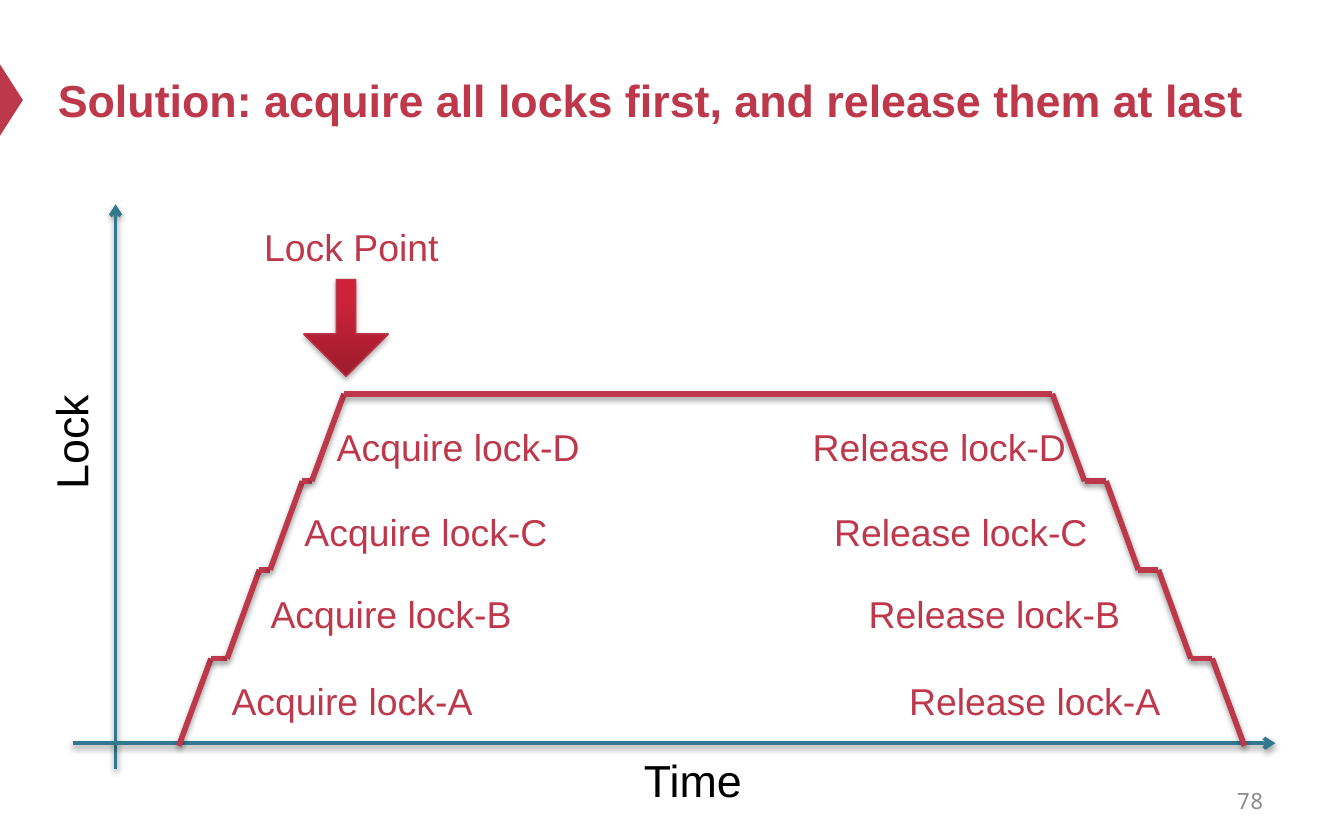
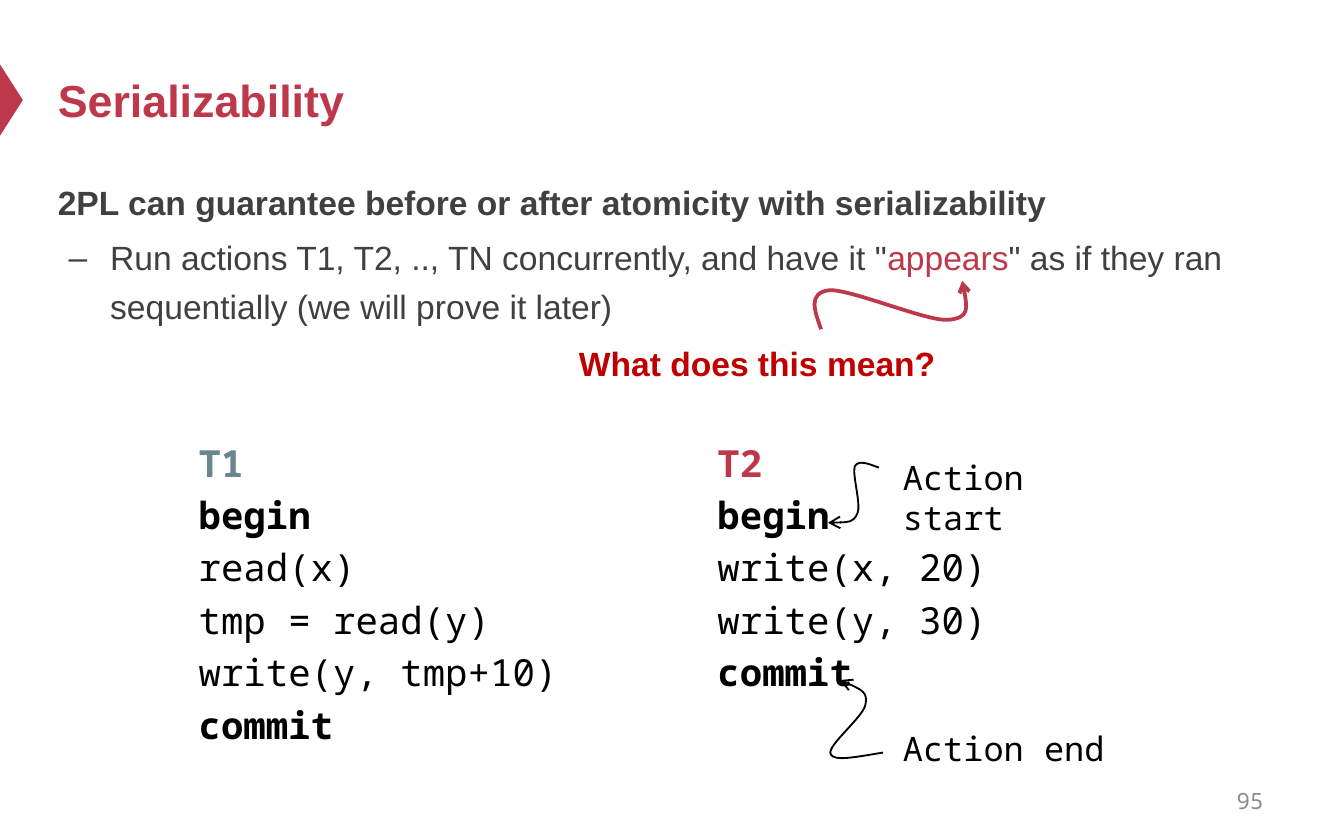
import itertools

import lxml.etree
import pptx
import pptx.dml.color
import pptx.enum.shapes
import pptx.enum.text
import pptx.oxml.ns
import pptx.util

PX = 9144  # 100 px to the inch
SANS, MONO = "Arial", "Noto Sans Mono"
RED, TEAL, SLATE = "BE384B", "32788E", "6A868F"
BLACK, DARK, GREY, ALERT = "000000", "404040", "8C8C8C", "C00000"
SHAPES = pptx.enum.shapes.MSO_SHAPE
ALIGN = pptx.enum.text.PP_ALIGN
ANCHOR = pptx.enum.text.MSO_ANCHOR
AUTO_SIZE = pptx.enum.text.MSO_AUTO_SIZE


def px(*lengths):
    return [pptx.util.Emu(round(length * PX)) for length in lengths]


def rgb(color):
    return pptx.dml.color.RGBColor.from_string(color)


def add_element(parent, tag, **attributes):
    element = lxml.etree.SubElement(parent, pptx.oxml.ns.qn(tag))
    for name, value in attributes.items():
        element.set(name, str(value))
    return element


def set_shadow(shape, opacity=0):
    """Give the shape a soft shadow below it, or none at zero opacity."""
    effects = add_element(shape._element.spPr, "a:effectLst")
    if opacity:
        shadow = add_element(effects, "a:outerShdw", blurRad=40000, dist=20000,
                             dir=5400000, rotWithShape=0)
        color = add_element(shadow, "a:srgbClr", val=BLACK)
        add_element(color, "a:alpha", val=opacity * 1000)


def style_line(shape, color, width, arrow=False):
    shape.line.color.rgb = rgb(color)
    shape.line.width = pptx.util.Pt(width)
    if arrow:
        add_element(shape.line._get_or_add_ln(), "a:tailEnd", type="arrow")


def add_run(paragraph, text, size, color, font=SANS, bold=False):
    run = paragraph.add_run()
    run.text = text
    run.font.name = font
    run.font.size = pptx.util.Pt(size)
    run.font.bold = bold
    run.font.color.rgb = rgb(color)


def add_text_box(slide, left, top, width, height, wrap=True, align=ALIGN.LEFT,
                 auto_size=AUTO_SIZE.SHAPE_TO_FIT_TEXT):
    shape = slide.shapes.add_textbox(*px(left, top, width, height))
    shape.text_frame.word_wrap = wrap
    shape.text_frame.auto_size = auto_size
    shape.text_frame.paragraphs[0].alignment = align
    return shape


def add_label(slide, box, text, size, color, font=SANS, bold=False, **options):
    shape = add_text_box(slide, *box, **options)
    add_run(shape.text_frame.paragraphs[0], text, size, color, font, bold)
    return shape


def add_line(slide, start, end, color, width, arrow=False):
    line = slide.shapes.add_connector(
        pptx.enum.shapes.MSO_CONNECTOR.STRAIGHT, *px(*start, *end))
    style_line(line, color, width, arrow)
    set_shadow(line, 38)


def add_curved_arrow(slide, left, top, points, color, width):
    """Draw Bezier segments: a start, then three points for each segment."""
    start, *rest = [(left + x, top + y) for x, y in points]
    builder = slide.shapes.build_freeform(*start, scale=PX)
    builder.add_line_segments(rest, close=False)
    curve = builder.convert_to_shape()
    outline = next(curve._element.iter(pptx.oxml.ns.qn("a:path")))
    corners = outline.findall(pptx.oxml.ns.qn("a:lnTo"))
    for first in range(0, len(corners), 3):
        segment = add_element(outline, "a:cubicBezTo")
        for corner in corners[first:first + 3]:
            segment.append(corner[0])
            outline.remove(corner)
    curve.fill.background()
    style_line(curve, color, width, arrow=True)
    set_shadow(curve)


def place(shape, box):
    shape.left, shape.top, shape.width, shape.height = px(*box)


def add_slide(presentation, layout, title, number, title_width):
    """Add a slide with the title, side marker and page number."""
    slide = presentation.slides.add_slide(presentation.slide_layouts[layout])
    marker = slide.shapes.add_shape(SHAPES.ISOSCELES_TRIANGLE, *px(-18, 66, 53, 17))
    marker.rotation = 90
    marker.fill.solid()
    marker.fill.fore_color.rgb = rgb(RED)
    marker.line.fill.background()
    set_shadow(marker)

    place(slide.shapes.title, (33, 25, title_width, 98))
    frame = slide.shapes.title.text_frame
    frame.auto_size = AUTO_SIZE.NONE
    frame.vertical_anchor = ANCHOR.MIDDLE
    frame.paragraphs[0].alignment = ALIGN.LEFT
    add_run(frame.paragraphs[0], title, 24, RED, bold=True)

    page = add_label(slide, (717, 579, 233, 33), number, 12, GREY, MONO,
                     align=ALIGN.RIGHT, auto_size=AUTO_SIZE.NONE)
    page.text_frame.vertical_anchor = ANCHOR.MIDDLE
    return slide


def add_axes(slide, left, top, width, height):
    base = top + 401
    add_line(slide, (left + 32, top + height), (left + 32, top), TEAL, 2, arrow=True)
    add_line(slide, (left, base), (left + width, base), TEAL, 2, arrow=True)
    add_label(slide, (left + 312, base + 2, 299, 50), "Time", 24, BLACK,
              align=ALIGN.CENTER)
    lock = add_label(slide, (left - 126, top + 152, 249, 50), "Lock", 24, BLACK,
                     align=ALIGN.CENTER)
    lock.rotation = 270


def add_lock_steps(slide, left, top):
    """Draw the rising and falling stairs, joined by the plateau."""
    levels = [top + round(403 - 65.5 * step) for step in range(5)]
    risers = list(itertools.pairwise(levels))
    falls = [(low, high) for high, low in reversed(risers)]
    starts = (79, 115, 147, 178, 729, 769, 808, 848)
    points = []
    for start, (begin, end) in zip(starts, risers + falls):
        points += [(left + start, begin), (left + start + 24, end)]
    for begin, end in itertools.pairwise(points):
        add_line(slide, begin, end, RED, 3)


def add_lock_point(slide, left, top):
    add_label(slide, (left, top, 151, 44), "Lock Point", 20, RED, wrap=False,
              align=ALIGN.CENTER)
    arrow = slide.shapes.add_shape(SHAPES.DOWN_ARROW,
                                   *px(left + 40, top + 46, 63, 72))
    arrow.adjustments[0] = 0.228
    arrow.adjustments[1] = 0.5
    arrow.fill.gradient()
    arrow.fill.gradient_angle = 90
    stops = next(arrow._element.iter(pptx.oxml.ns.qn("a:gsLst")))
    for stop in list(stops):
        stops.remove(stop)
    for position, color in ((0, "9D1B2D"), (80, "CC233B"), (100, "D02039")):
        stop = add_element(stops, "a:gs", pos=position * 1000)
        add_element(stop, "a:srgbClr", val=color)
    style_line(arrow, "BD3347", 0.75)
    set_shadow(arrow, 35)


def add_lock_labels(slide, left, top):
    rows = (("A", 348, 107, 611), ("B", 283, 136, 581),
            ("C", 222, 162, 556), ("D", 159, 186, 540))
    for lock, offset, acquire, release in rows:
        for action, start, width in (("Acquire", acquire, 202), ("Release", release, 210)):
            add_label(slide, (left + start, top + offset, width, 44),
                      f"{action} lock-{lock}", 20, RED, wrap=False,
                      align=ALIGN.CENTER)


def build_lock_slide(presentation):
    slide = add_slide(presentation, 5,
                      "Solution: acquire all locks first, and release them at last",
                      "78", 942)
    left, top = 54, 152
    add_axes(slide, left, top, 895, 420)
    add_lock_steps(slide, left, top)
    add_lock_point(slide, left + 132, top + 10)
    add_lock_labels(slide, left, top)


def add_claim(slide, left, top, width, height):
    """Fill the body and point a question at one of its words."""
    body = slide.placeholders[1]
    place(body, (left, top, width, height))
    frame = body.text_frame
    frame.auto_size = AUTO_SIZE.NONE
    frame.vertical_anchor = ANCHOR.TOP
    claim, detail = frame.paragraphs[0], frame.add_paragraph()
    detail.level = 1
    for paragraph, margin, indent in ((claim, 0, 0), (detail, 39, -31)):
        properties = paragraph._p.get_or_add_pPr()
        properties.set("marL", str(margin * PX))
        properties.set("indent", str(indent * PX))
        paragraph.line_spacing = 1.2
    add_element(claim._p.pPr, "a:buNone")
    add_element(detail._p.pPr, "a:buChar", char="–")
    claim.space_before = pptx.util.Pt(0)
    detail.space_before = pptx.util.Pt(4)
    add_run(claim, "2PL can guarantee before or after atomicity with serializability",
            18, DARK, bold=True)
    add_run(detail, 'Run actions T1, T2, .., TN concurrently, and have it "', 18, DARK)
    add_run(detail, "appears", 18, RED)
    add_run(detail, '" as if they ran sequentially (we will prove it later)', 18, DARK)

    add_label(slide, (left + 388, top + 126, 394, 40), "What does this mean?",
              18, ALERT, bold=True)
    add_curved_arrow(slide, left, top, (
        (578, 121), (573, 107), (568, 94), (584, 92), (600, 91), (656, 115),
        (672, 114), (689, 113), (686, 99), (683, 85)), RED, 2)


def add_thread(slide, left, top, name, color, actions):
    shape = add_text_box(slide, left, top, 340, 254, auto_size=AUTO_SIZE.NONE)
    frame = shape.text_frame
    for index, text in enumerate((name, "begin", *actions, "commit")):
        paragraph = frame.add_paragraph() if index else frame.paragraphs[0]
        paragraph.line_spacing = 0.6
        if index:
            paragraph.space_before = pptx.util.Pt(13.7)
        add_run(paragraph, text, 20, BLACK if index else color, MONO,
                bold=text not in actions)


def add_action_notes(slide, left, top):
    """Mark where the thread in the box at left, top starts and ends."""
    notes = (
        ("Action start", 1, (
            (130, 14), (122, 11), (115, 8), (112, 13), (110, 19), (117, 42),
            (114, 48), (111, 55), (102, 55), (92, 55))),
        ("Action end", 203, (
            (133, 226), (114, 229), (96, 233), (94, 227), (91, 221), (119, 199),
            (120, 190), (122, 181), (111, 176), (101, 172))),
    )
    for text, offset, points in notes:
        add_label(slide, (left + 138, top + offset, 186, 40), text, 18, BLACK, MONO)
        add_curved_arrow(slide, left, top, points, BLACK, 1)


def build_serializability_slide(presentation):
    slide = add_slide(presentation, 1, "Serializability", "95", 934)
    add_claim(slide, 33, 124, 900, 456)
    add_thread(slide, 138, 334, "T1", SLATE,
               ("read(x)", "tmp = read(y)", "write(y, tmp+10)"))
    add_thread(slide, 524, 334, "T2", RED, ("write(x, 20)", "write(y, 30)"))
    add_action_notes(slide, 524, 334)


def main():
    presentation = pptx.Presentation()
    presentation.slide_width, presentation.slide_height = px(1000, 625)
    build_lock_slide(presentation)
    build_serializability_slide(presentation)
    presentation.save("out.pptx")


if __name__ == "__main__":
    main()
